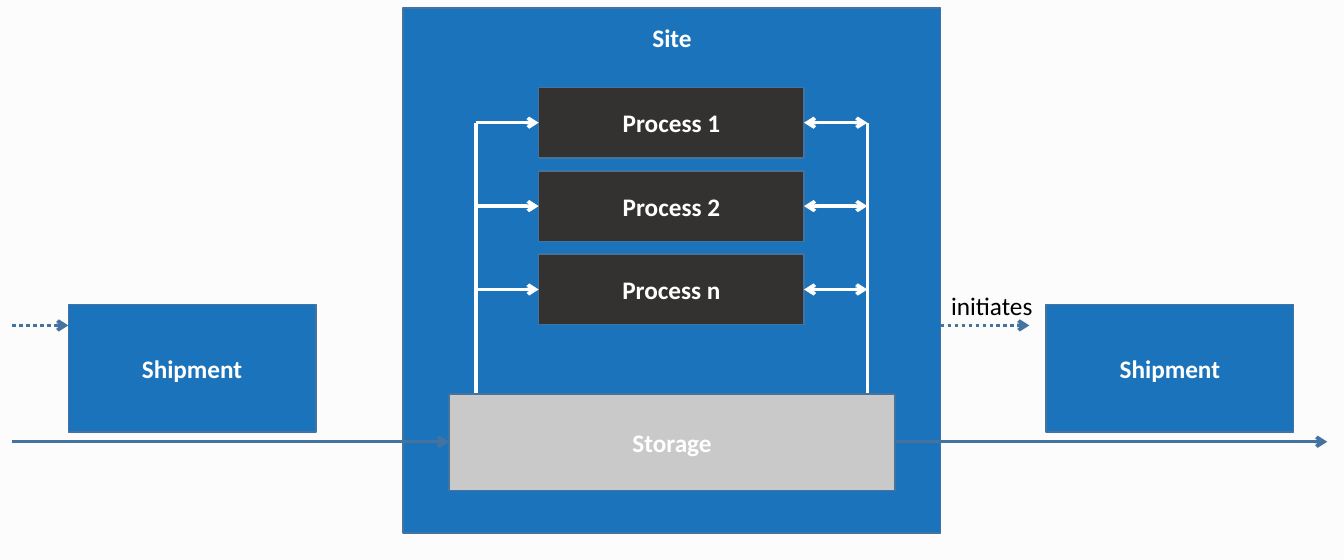
from lxml import etree
from pptx import Presentation
from pptx.dml.color import RGBColor
from pptx.enum.dml import MSO_LINE
from pptx.enum.shapes import MSO_CONNECTOR, MSO_SHAPE
from pptx.enum.text import MSO_ANCHOR, PP_ALIGN
from pptx.oxml.ns import qn
from pptx.util import Pt

RECTANGLE = MSO_SHAPE.RECTANGLE
STRAIGHT = MSO_CONNECTOR.STRAIGHT
DOTTED = MSO_LINE.ROUND_DOT
CENTER = PP_ALIGN.CENTER
TOP, MIDDLE = MSO_ANCHOR.TOP, MSO_ANCHOR.MIDDLE

COLORS = {
    "page": "FCFCFC", "blue": "1B73BB", "edge": "43739E", "dark": "343131",
    "grey": "C9C9C9", "white": "FFFFFF", "black": "000000",
}
FONT = {"name": "Calibri", "size": Pt(16.2)}

# Frames are left, top, width, height in points.
PROCESSES = ["Process 1", "Process 2", "Process n"]
SITE = (259.2, 5, 345.6, 337.7)
STORAGE = (288.7, 253.4, 286.6, 61.9)
SHIPMENT_LEFTS = (43.9, 672.5)
SHIPMENT_TOP, SHIPMENT_WIDTH, SHIPMENT_HEIGHT = 195.8, 159.1, 82.1
PROCESS_LEFT, PROCESS_TOP, PROCESS_WIDTH, PROCESS_HEIGHT = 346.3, 56.2, 170.6, 45.4
PROCESS_STEP = 53.6
RAILS = (306, 557.6)
FLOW_START, FLOW_END, FLOW_Y = 7.9, 853.2, 284
SIGNAL_Y, SIGNAL_END = 209.2, 661.7
INITIATES = (583.2, 182.9, 108.7, 26.6)


def color(name):
    """Return the named colour."""
    return RGBColor.from_string(COLORS[name])


def write(box, text, ink="white", bold=True, anchor=MIDDLE, spacing=None):
    """Put one centred line of text in a box."""
    frame = box.text_frame
    frame.word_wrap = True
    frame.vertical_anchor = anchor
    para = frame.paragraphs[0]
    para.alignment = CENTER
    para.line_spacing = spacing
    span = para.add_run()
    span.text = text
    for key, value in {**FONT, "bold": bold}.items():
        setattr(span.font, key, value)
    span.font.color.rgb = color(ink)


def add_box(page, text, frame, fill, **style):
    """Add a filled, outlined and labelled rectangle."""
    box = page.shapes.add_shape(RECTANGLE, *map(Pt, frame))
    box.shadow.inherit = False
    box.fill.solid()
    box.fill.fore_color.rgb = color(fill)
    box.line.color.rgb = color("edge")
    box.line.width = Pt(1)
    write(box, text, **style)


def add_line(page, start, end, ink="edge", arrows=("tailEnd",), dash=None):
    """Add a straight line with open arrowheads at the named ends."""
    line = page.shapes.add_connector(STRAIGHT, *map(Pt, start + end))
    line.line.color.rgb = color(ink)
    line.line.width = Pt(2.25)
    if dash:
        line.line.dash_style = dash
    outline = line.line._get_or_add_ln()
    for arrow in arrows:
        etree.SubElement(outline, qn(f"a:{arrow}"), type="arrow")
    etree.SubElement(line._element.spPr, qn("a:effectLst"))


deck = Presentation()
deck.slide_width, deck.slide_height = Pt(864), Pt(360)
page = deck.slides.add_slide(deck.slide_layouts[6])
page.background.fill.solid()
page.background.fill.fore_color.rgb = color("page")

site_right = SITE[0] + SITE[2]
storage_right = STORAGE[0] + STORAGE[2]
process_right = PROCESS_LEFT + PROCESS_WIDTH
left_rail, right_rail = RAILS

add_box(page, "Site", SITE, "blue", anchor=TOP, spacing=1.3)

# Goods flow through storage; dotted signals announce shipments.
add_line(page, (FLOW_START, FLOW_Y), (STORAGE[0], FLOW_Y))
add_line(page, (storage_right, FLOW_Y), (FLOW_END, FLOW_Y))
add_line(page, (FLOW_START, SIGNAL_Y), (SHIPMENT_LEFTS[0], SIGNAL_Y), dash=DOTTED)
add_line(page, (site_right, SIGNAL_Y), (SIGNAL_END, SIGNAL_Y), dash=DOTTED)

for left in SHIPMENT_LEFTS:
    add_box(page, "Shipment",
            (left, SHIPMENT_TOP, SHIPMENT_WIDTH, SHIPMENT_HEIGHT), "blue")
write(page.shapes.add_textbox(*map(Pt, INITIATES)), "initiates",
      ink="black", bold=False, anchor=TOP)

# Each process is fed from the left rail and linked both ways to the right one.
for index, name in enumerate(PROCESSES):
    top = PROCESS_TOP + index * PROCESS_STEP
    middle = top + PROCESS_HEIGHT / 2
    add_box(page, name, (PROCESS_LEFT, top, PROCESS_WIDTH, PROCESS_HEIGHT), "dark")
    add_line(page, (left_rail, middle), (PROCESS_LEFT, middle), "white")
    add_line(page, (right_rail, middle), (process_right, middle), "white",
             ("headEnd", "tailEnd"))

for rail in RAILS:
    add_line(page, (rail, STORAGE[1]),
             (rail, PROCESS_TOP + PROCESS_HEIGHT / 2), "white", ())
add_box(page, "Storage", STORAGE, "grey")

deck.save("out.pptx")
